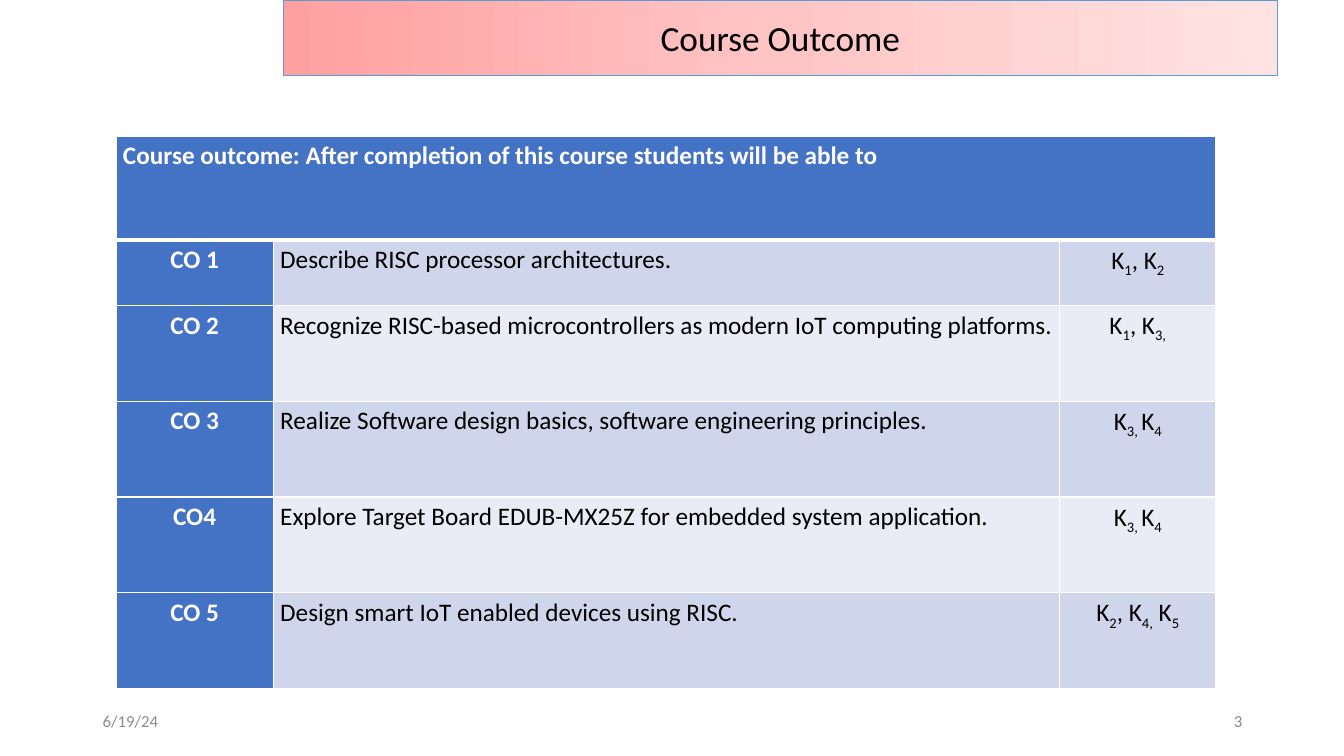
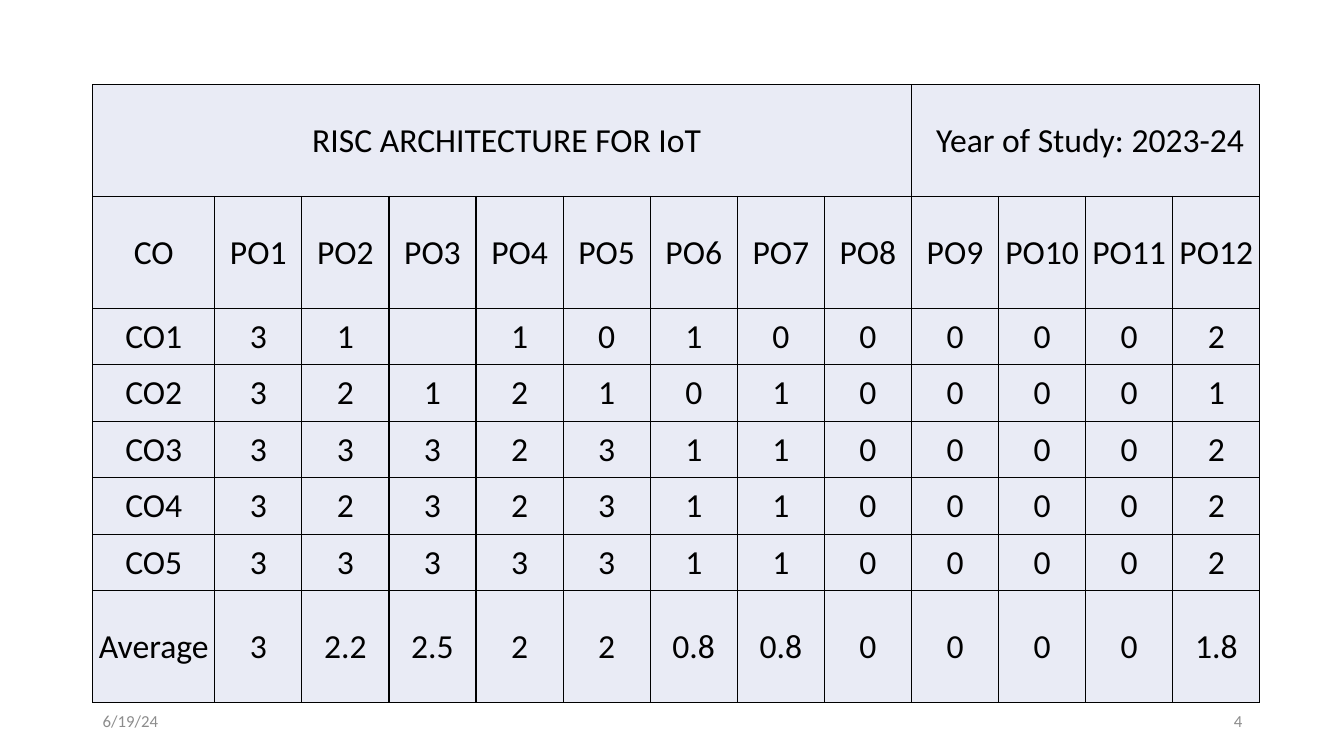
"""Build two slides: the course outcomes and their programme outcome scores."""
from copy import deepcopy
from lxml.etree import SubElement as Sub
from pptx import Presentation
from pptx.dml.color import RGBColor as RGB
from pptx.enum.shapes import MSO_SHAPE as SHAPE
from pptx.enum.text import MSO_ANCHOR as ANCHOR, PP_ALIGN as ALIGN
from pptx.oxml.ns import qn
from pptx.util import Inches, Pt

INK = {
    "black": "000000", "white": "FFFFFF", "grey": "8C8C8C",
    "blue": "4472C4", "edge": "5B9BD5", "dark": "CFD5EA", "pale": "E9EBF5",
    "red": "FFA0A0", "rose": "FFC5C5", "pink": "FFE3E3",
}
FONT = "Calibri"


def write(frame, text, size, ink="black", align=ALIGN.CENTER, bold=False):
    """Write one paragraph; every second part between bars is a subscript."""
    para = frame.paragraphs[0]
    para.alignment = align
    for i, part in enumerate(text.split("|")):
        run = para.add_run()
        run.text = part
        run.font.name, run.font.size, run.font.bold = FONT, Pt(size), bold
        run.font.color.rgb = RGB.from_string(INK[ink])
        if i % 2:
            run.font._element.set("baseline", "-25000")
    return para


def dress(cell, fill, line, pads, top=1, base=1):
    """Set the borders, fill and margins of a cell."""
    props = cell._tc.get_or_add_tcPr()
    for side, width in zip("LRTB", (1, 1, top, base)):
        edge = Sub(props, qn(f"a:ln{side}"), w=str(Pt(width)))
        Sub(Sub(edge, qn("a:solidFill")), qn("a:srgbClr"), val=INK[line])
    cell.fill.solid()
    cell.fill.fore_color.rgb = RGB.from_string(INK[fill])
    cell.margin_left, cell.margin_top, cell.margin_right, cell.margin_bottom = map(Inches, pads)


deck = Presentation()
deck.slide_width, deck.slide_height = Inches(13.33), Inches(7.5)
goals, scores = [deck.slides.add_slide(deck.slide_layouts[6]) for _ in range(2)]

band = goals.shapes.add_shape(SHAPE.RECTANGLE, Inches(2.81), 0, Inches(9.86), Inches(0.75))
band.shadow.inherit = False
band.fill.gradient()
band.fill.gradient_angle = 0
first = band._element.spPr.find(".//" + qn("a:gs"))
first.addnext(deepcopy(first))
for stop, ink, pos in zip(band.fill.gradient_stops, ("red", "rose", "pink"), (0, 0.5, 1)):
    stop.color.rgb = RGB.from_string(INK[ink])
    stop.position = pos
band.line.color.rgb = RGB.from_string(INK["edge"])
band.line.width = Pt(0.5)
band.text_frame.vertical_anchor = ANCHOR.MIDDLE
write(band.text_frame, "Course Outcome", 25.2)

aims = [
    ("Course outcome: After completion of this course students will be able to", "", ""),
    ("CO 1", "Describe RISC processor architectures.", "K|1|, K|2"),
    ("CO 2", "Recognize RISC-based microcontrollers as modern IoT computing platforms.", "K|1|, K|3,"),
    ("CO 3", "Realize Software design basics, software engineering principles.", "K|3, |K|4"),
    ("CO4", "Explore Target Board EDUB-MX25Z for embedded system application.", "K|3, |K|4"),
    ("CO 5", "Design smart IoT enabled devices using RISC.", "K|2|, K|4,| K|5"),
]
marks = [
    ["RISC ARCHITECTURE FOR IoT"] + [""] * 8 + ["Year of Study: 2023-24"] + [""] * 3,
    ["CO"] + [f"PO{n}" for n in range(1, 13)],
    ["CO1", "3", "1", "", "1", "0", "1", "0", "0", "0", "0", "0", "2"],
    ["CO2", "3", "2", "1", "2", "1", "0", "1", "0", "0", "0", "0", "1"],
    ["CO3", "3", "3", "3", "2", "3", "1", "1", "0", "0", "0", "0", "2"],
    ["CO4", "3", "2", "3", "2", "3", "1", "1", "0", "0", "0", "0", "2"],
    ["CO5", "3", "3", "3", "3", "3", "1", "1", "0", "0", "0", "0", "2"],
    ["Average", "3", "2.2", "2.5", "2", "2", "0.8", "0.8", "0", "0", "0", "0", "1.8"],
]
plans = [
    (goals, aims, 1.15, 1.35, [1.56, 7.8, 1.55], [1.03, 0.65] + [0.95] * 4, [(0, 2)]),
    (scores, marks, 0.92, 0.84, [1.21] + [(11.58 - 1.21) / 12] * 12,
     [1.11] * 2 + [0.56] * 5 + [1.11], [(0, 8), (9, 12)]),
]
grids = []
for slide, data, left, top, cols, rows, spans in plans:
    grid = slide.shapes.add_table(len(rows), len(cols), Inches(left), Inches(top),
                                  Inches(sum(cols)), Inches(sum(rows))).table
    grid.first_row = grid.horz_banding = False
    for col, width in zip(grid.columns, cols):
        col.width = Inches(width)
    for row, height in zip(grid.rows, rows):
        row.height = Inches(height)
    for start, end in spans:
        grid.cell(0, start).merge(grid.cell(0, end))
    grids.append(grid)

for r, row in enumerate(aims):
    for c, text in enumerate(row):
        cell = grids[0].cell(r, c)
        head = r == 0 or c == 0
        fill = "blue" if head else "dark" if r % 2 else "pale"
        dress(cell, fill, "white", (0.07, 0, 0.07, 0), 3 if r == 1 else 1, 3 if r == 0 else 1)
        if text:
            align = ALIGN.JUSTIFY if r == 0 else ALIGN.LEFT if c == 1 else ALIGN.CENTER
            para = write(cell.text_frame, text, 18, "white" if head else "black", align, head)
            para.line_spacing = 1.15
            para.space_after = Pt(12 if r == 0 else 10)

for r, row in enumerate(marks):
    for c, text in enumerate(row):
        cell = grids[1].cell(r, c)
        dress(cell, "pale", "black", (0.01 if r else 0.1, 0.01, 0.01, 0))
        cell.vertical_anchor = ANCHOR.MIDDLE
        if text:
            write(cell.text_frame, text, 24)

for num, slide in enumerate((goals, scores), 3):
    for left, text, align in ((0.92, "6/19/24", ALIGN.LEFT), (9.42, str(num), ALIGN.RIGHT)):
        foot = slide.shapes.add_textbox(Inches(left), Inches(6.95), Inches(3), Inches(0.4)).text_frame
        foot.word_wrap = True
        foot.vertical_anchor = ANCHOR.MIDDLE
        write(foot, text, 12, "grey", align)

deck.save("out.pptx")
